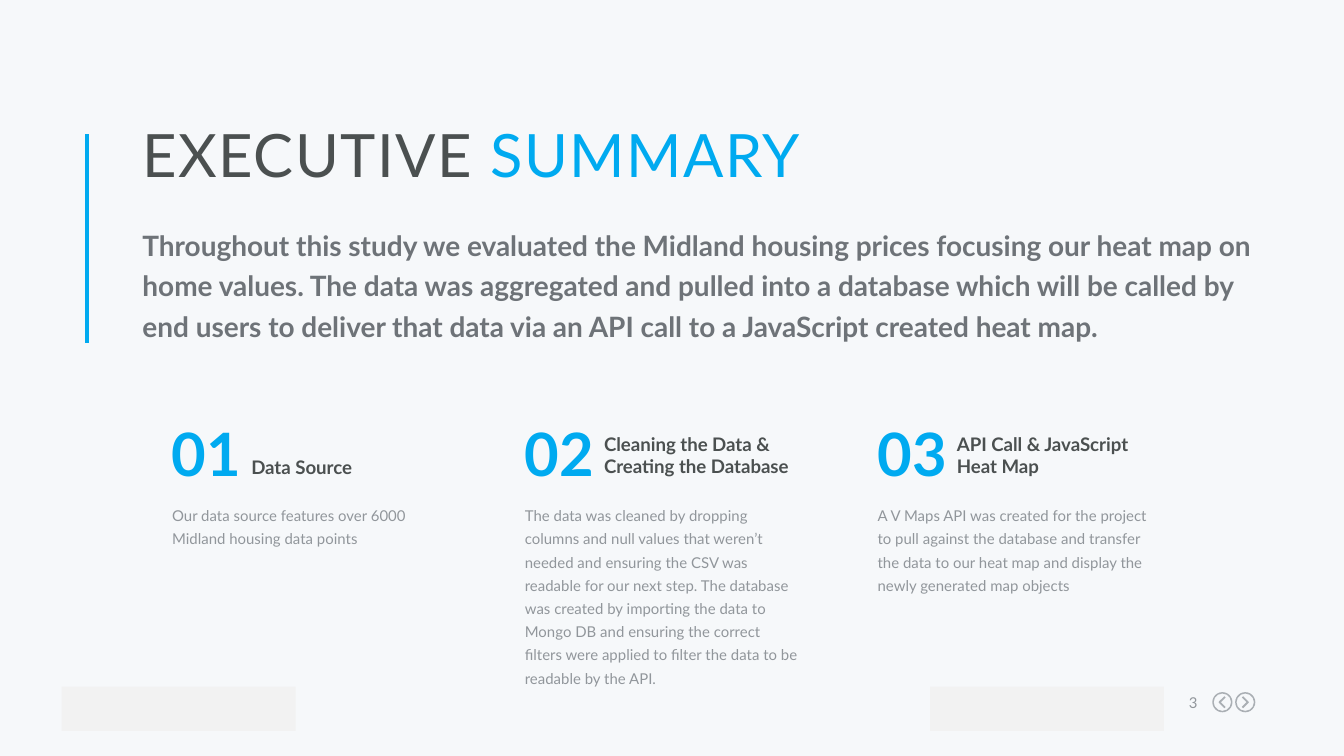
import pptx
import pptx.dml.color
import pptx.enum.shapes
import pptx.enum.text
import pptx.oxml
import pptx.oxml.ns
import pptx.util
from pptx.util import Inches

FONT = "Lato"
BLUE, DARK, MID, GREY = "00AAF0", "4B5050", "6E7378", "91969B"
ICON, BLOCK = "AAAFB4", "F2F2F2"

SUMMARY = (
    "Throughout this study we evaluated the Midland housing prices focusing our "
    "heat map on home values. The data was aggregated and pulled into a database "
    "which will be called by end users to deliver that data via an API call to a "
    "JavaScript created heat map."
)
# Heading, lines the heading takes, description, description height
STEPS = [
    ("Data Source", 1,
     "Our data source features over 6000 Midland housing data points", 0.33),
    ("Cleaning the Data & Creating the Database", 2,
     "The data was cleaned by dropping columns and null values that weren’t needed "
     "and ensuring the CSV was readable for our next step. The database was created "
     "by importing the data to Mongo DB and ensuring the correct filters were "
     "applied to filter the data to be readable by the API.", 1.38),
    ("API Call & JavaScript Heat Map", 2,
     "A V Maps API was created for the project to pull against the database and "
     "transfer the data to our heat map and display the newly generated map objects",
     0.68),
]


def rgb(value):
    return pptx.dml.color.RGBColor.from_string(value)


def add_text(slide, box, parts, size, bold=False, spacing=None, after=None,
             tracking=0, align=None):
    """Add one paragraph made of (text, colour) parts; tracking is in points."""
    textbox = slide.shapes.add_textbox(*map(Inches, box))
    frame = textbox.text_frame
    frame.word_wrap = True
    frame.auto_size = pptx.enum.text.MSO_AUTO_SIZE.SHAPE_TO_FIT_TEXT
    frame.margin_left = frame.margin_right = 0
    frame.margin_top = frame.margin_bottom = 0
    paragraph = frame.paragraphs[0]
    paragraph.alignment = align
    paragraph.line_spacing = spacing
    if after is not None:
        paragraph.space_after = pptx.util.Pt(after)
    for text, colour in parts:
        run = paragraph.add_run()
        run.text = text
        run.font.name = FONT
        run.font.size = pptx.util.Pt(size)
        run.font.bold = bold
        run.font.color.rgb = rgb(colour)
        if tracking:
            run.font._element.set("spc", str(round(tracking * 100)))


def add_filled(slide, kind, box, colour):
    shape = slide.shapes.add_shape(kind, *map(Inches, box))
    shape.shadow.inherit = False
    shape.fill.solid()
    shape.fill.fore_color.rgb = rgb(colour)
    shape.line.fill.background()
    return shape


def add_accent_line(slide, x, top, bottom):
    line = slide.shapes.add_connector(
        pptx.enum.shapes.MSO_CONNECTOR.STRAIGHT,
        Inches(x), Inches(top), Inches(x), Inches(bottom))
    line.line.color.rgb = rgb(BLUE)
    line.line.width = pptx.util.Pt(2.25)
    effects = pptx.oxml.parse_xml(
        f"<a:effectLst {pptx.oxml.ns.nsdecls('a')}/>")
    line._element.spPr.append(effects)


def add_arrow_button(slide, left, direction):
    """Add a ringed chevron; direction is 1 for next and -1 for previous."""
    top, size = 5.15, 0.15
    ring = add_filled(slide, pptx.enum.shapes.MSO_SHAPE.DONUT,
                      (left, top, size, size), ICON)
    ring.adjustments[0] = 0.07
    x, y = left + size / 2, top + size / 2
    back, tip = x - 0.02 * direction, x + 0.02 * direction
    builder = slide.shapes.build_freeform(
        Inches(back), Inches(y - 0.04), scale=1.0)
    builder.add_line_segments(
        [(Inches(tip), Inches(y)), (Inches(back), Inches(y + 0.04))], close=False)
    chevron = builder.convert_to_shape()
    chevron.shadow.inherit = False
    chevron.fill.background()
    chevron.line.color.rgb = rgb(ICON)
    chevron.line.width = pptx.util.Pt(1)


def add_step(slide, left, number, heading, heading_lines, description, height):
    heading_height = 0.17 * heading_lines
    add_text(slide, (left, 3.73, 2.05, height), [(description, GREY)], 8,
             spacing=1.3, after=9)
    add_text(slide, (left, 3.1, 0.64, 0.56), [(f"{number:02}", BLUE)], 32, bold=True)
    add_text(slide, (left + 0.59, 3.56 - heading_height, 1.46, heading_height),
             [(heading, DARK)], 10, bold=True)


def main():
    deck = pptx.Presentation()
    deck.slide_width, deck.slide_height = Inches(10), Inches(10 * 9 / 16)
    slide = deck.slides.add_slide(deck.slide_layouts[6])
    slide.background.fill.solid()
    slide.background.fill.fore_color.rgb = rgb("F6F8FA")

    add_text(slide, (8.68, 5.16, 0.23, 0.13), [("3", GREY)], 8, tracking=0.3,
             align=pptx.enum.text.PP_ALIGN.RIGHT)
    add_arrow_button(slide, 9.19, 1)
    add_arrow_button(slide, 9.02, -1)

    add_text(slide, (1.06, 1.65, 8.29, 0.88), [(SUMMARY, MID)], 15, bold=True,
             spacing=1.2)
    add_accent_line(slide, 0.65, 1, 2.55)
    add_text(slide, (1.06, 0.88, 8.29, 0.54),
             [("EXECUTIVE", DARK), (" SUMMARY", BLUE)], 32, tracking=0.8)

    for index, step in enumerate(STEPS):
        add_step(slide, 1.28 + 2.625 * index, index + 1, *step)

    for left in (0.46, 6.92):
        add_filled(slide, pptx.enum.shapes.MSO_SHAPE.RECTANGLE,
                   (left, 5.11, 1.74, 0.33), BLOCK)

    deck.save("out.pptx")


if __name__ == "__main__":
    main()
